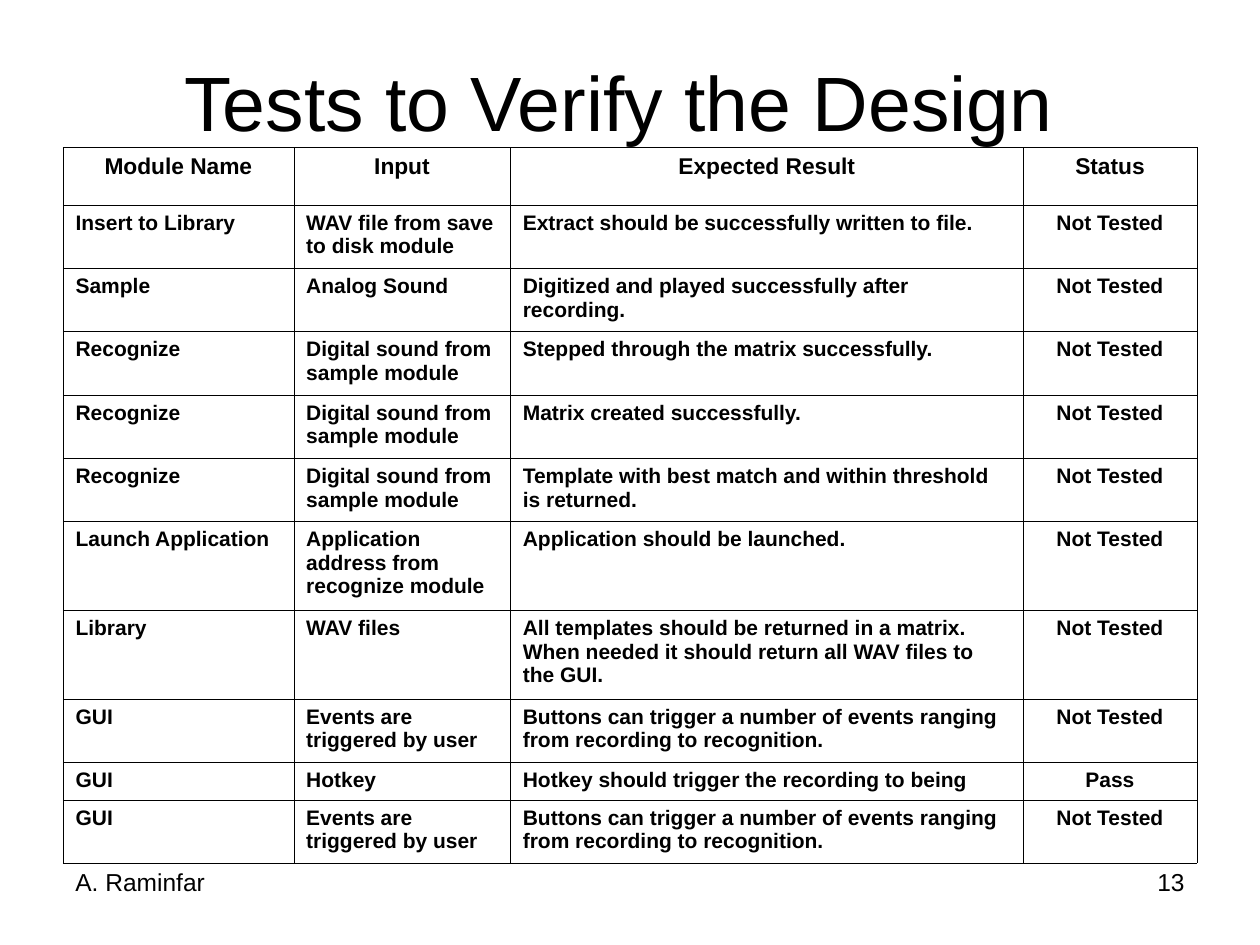
import lxml.etree
import pptx
import pptx.dml.color
import pptx.enum.text
import pptx.oxml.ns
import pptx.util

Pt = pptx.util.Pt
Align = pptx.enum.text.PP_ALIGN
Anchor = pptx.enum.text.MSO_ANCHOR
qn = pptx.oxml.ns.qn

COLUMN_WIDTHS = [131.8, 123.8, 293, 99.4]
ROW_HEIGHTS = [32.8] + [36.2] * 5 + [50.6] * 2 + [36.2, 21.7, 36.2]
HEADER = ("Module Name", "Input", "Expected Result", "Status")
SAMPLE_INPUT = "Digital sound from sample module"
BUTTON_TEST = (
    "GUI", "Events are triggered by user",
    "Buttons can trigger a number of events ranging from recording to recognition.",
    "Not Tested")
TESTS = [
    ("Insert to Library", "WAV file from save to disk module",
     "Extract should be successfully written to file.", "Not Tested"),
    ("Sample", "Analog Sound",
     "Digitized and played successfully after recording.", "Not Tested"),
    ("Recognize", SAMPLE_INPUT, "Stepped through the matrix successfully.", "Not Tested"),
    ("Recognize", SAMPLE_INPUT, "Matrix created successfully.", "Not Tested"),
    ("Recognize", SAMPLE_INPUT,
     "Template with best match and within threshold is returned.", "Not Tested"),
    ("Launch Application", "Application address from recognize module",
     "Application should be launched.", "Not Tested"),
    ("Library", "WAV files",
     "All templates should be returned in a matrix. When needed it should "
     "return all WAV files to the GUI.", "Not Tested"),
    BUTTON_TEST,
    ("GUI", "Hotkey", "Hotkey should trigger the recording to being", "Pass"),
    BUTTON_TEST,
]


def rgb(value):
    return pptx.dml.color.RGBColor.from_string(value)


class SlideBuilder:
    """Draws the elements of one slide in a shared style."""

    font_name = "Arial"
    ink = "000000"
    border_width = 0.06

    def __init__(self, slide):
        self.slide = slide

    def fill_paragraph(self, paragraph, text, size, align, bold=False):
        paragraph.text = text
        paragraph.alignment = align
        paragraph.font.name = self.font_name
        paragraph.font.size = Pt(size)
        paragraph.font.bold = bold
        paragraph.font.color.rgb = rgb(self.ink)

    def text(self, text, left, top, width, height, size, align, anchor=Anchor.TOP):
        box = self.slide.shapes.add_textbox(Pt(left), Pt(top), Pt(width), Pt(height))
        frame = box.text_frame
        frame.word_wrap = True
        frame.vertical_anchor = anchor
        self.fill_paragraph(frame.paragraphs[0], text, size, align)

    def borders(self, cell):
        properties = cell._tc.get_or_add_tcPr()
        for index, side in enumerate(("lnL", "lnR", "lnT", "lnB")):
            line = lxml.etree.Element(qn(f"a:{side}"), w=str(Pt(self.border_width)))
            fill = lxml.etree.SubElement(line, qn("a:solidFill"))
            lxml.etree.SubElement(fill, qn("a:srgbClr"), val=self.ink)
            properties.insert(index, line)

    def table(self, rows, left, top, column_widths, row_heights):
        frame = self.slide.shapes.add_table(
            len(rows), len(column_widths), Pt(left), Pt(top),
            Pt(sum(column_widths)), Pt(sum(row_heights)))
        table = frame.table
        table.first_row = False
        table.horz_banding = False
        for column, width in zip(table.columns, column_widths):
            column.width = Pt(width)
        for row, height in zip(table.rows, row_heights):
            row.height = Pt(height)
        for row_index, row in enumerate(rows):
            is_header = row_index == 0
            for column_index, text in enumerate(row):
                cell = table.cell(row_index, column_index)
                cell.fill.background()
                self.borders(cell)
                centred = is_header or column_index == len(row) - 1
                self.fill_paragraph(
                    cell.text_frame.paragraphs[0], text, 13 if is_header else 12,
                    Align.CENTER if centred else Align.LEFT, bold=True)


def main():
    presentation = pptx.Presentation()
    presentation.slide_width = Pt(720)
    presentation.slide_height = Pt(540)
    builder = SlideBuilder(presentation.slides.add_slide(presentation.slide_layouts[6]))
    builder.text("Tests to Verify the Design ", 36, 12.24, 648, 90, 44,
                 Align.CENTER, Anchor.MIDDLE)
    builder.table([HEADER] + TESTS, 36, 84.24, COLUMN_WIDTHS, ROW_HEIGHTS)
    builder.text("13", 516, 491.76, 168, 37.5, 14, Align.RIGHT)
    builder.text("A. Raminfar", 36, 491.76, 168, 37.5, 14, Align.LEFT)
    presentation.save("out.pptx")


if __name__ == "__main__":
    main()
